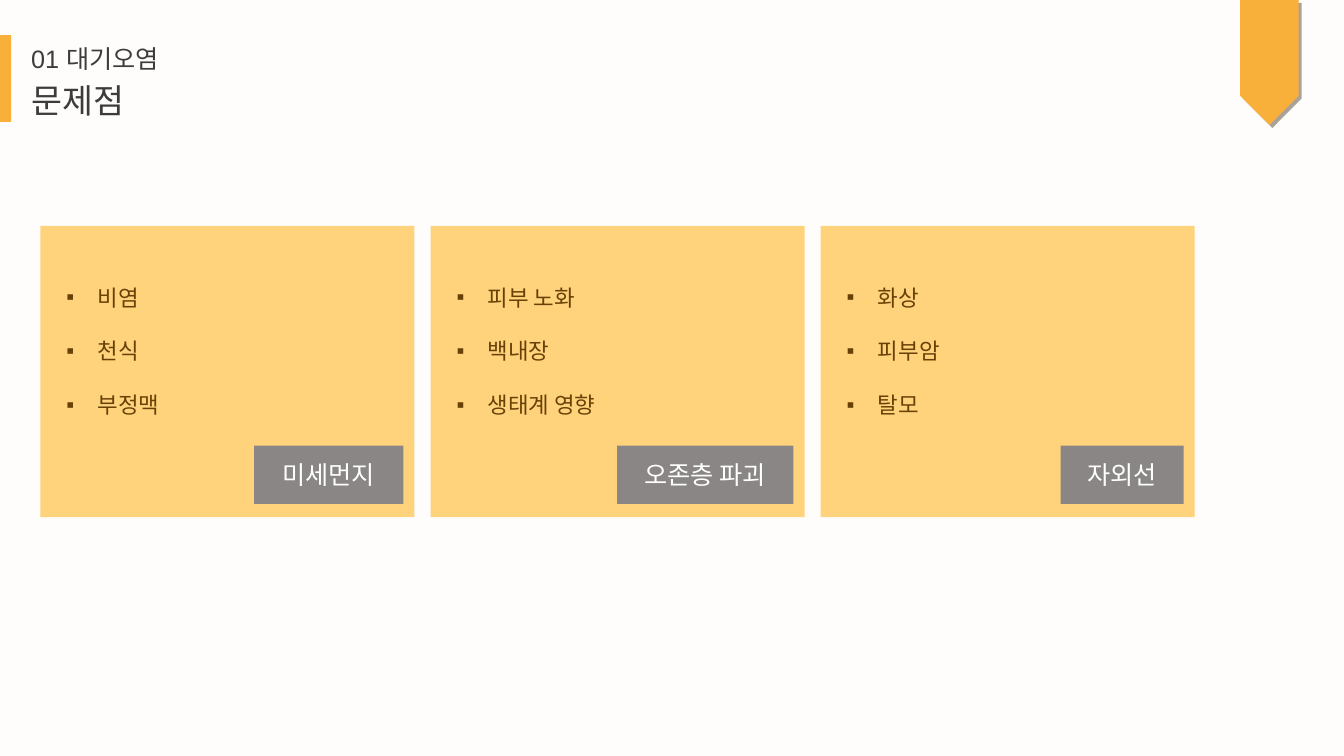
from lxml.etree import SubElement
from pptx import Presentation
from pptx.dml.color import RGBColor
from pptx.enum.shapes import MSO_SHAPE
from pptx.enum.text import MSO_ANCHOR, MSO_AUTO_SIZE, PP_ALIGN
from pptx.oxml.ns import qn
from pptx.util import Inches, Pt

AMBER, CARD, GRAY = "F8B03A", "FFD37C", "8A8686"
DARK, BROWN, WHITE = "3C3C3C", "684107", "FFFFFF"
KOREAN = "Noto Sans CJK KR"
CARDS = [
    ("미세먼지", 1.48, ["비염", "천식", "부정맥"]),
    ("오존층 파괴", 1.75, ["피부 노화", "백내장", "생태계 영향"]),
    ("자외선", 1.22, ["화상", "피부암", "탈모"]),
]


def color(value):
    return RGBColor.from_string(value)


class SlideBuilder:
    """Holds the style and the current slide."""

    def __init__(self, deck):
        self.page = deck.slides.add_slide(deck.slide_layouts[5])
        fill = self.page.background.fill
        fill.solid()
        fill.fore_color.rgb = color("FEFDFC")

    def font(self, para, size, ink, latin=KOREAN):
        para.font.size = Pt(size)
        para.font.color.rgb = color(ink)
        para.font.name = latin
        SubElement(para.font._element, qn("a:ea"), typeface=KOREAN)

    def shape(self, parent, kind, left, top, width, height, fill):
        shape = parent.add_shape(
            kind, Inches(left), Inches(top), Inches(width), Inches(height))
        shape.shadow.inherit = False
        shape.fill.solid()
        shape.fill.fore_color.rgb = color(fill)
        shape.line.fill.background()
        return shape

    def title(self, text, left, top, width, height):
        box = self.page.shapes.title
        box.left, box.top = Inches(left), Inches(top)
        box.width, box.height = Inches(width), Inches(height)
        frame = box.text_frame
        frame.text = text
        frame.word_wrap = False
        frame.auto_size = MSO_AUTO_SIZE.SHAPE_TO_FIT_TEXT
        frame.vertical_anchor = MSO_ANCHOR.TOP
        para = frame.paragraphs[0]
        para.alignment = PP_ALIGN.LEFT
        self.font(para, 24, DARK)

    def text(self, parent, left, top, width, height, wrap):
        box = parent.add_textbox(
            Inches(left), Inches(top), Inches(width), Inches(height))
        frame = box.text_frame
        frame.word_wrap = wrap
        frame.auto_size = MSO_AUTO_SIZE.SHAPE_TO_FIT_TEXT
        return frame

    def section(self, text, left, top, width, height):
        frame = self.text(self.page.shapes, left, top, width, height, False)
        frame.text = text
        self.font(frame.paragraphs[0], 18, DARK, "Arial")

    def bullets(self, parent, items, left, top, width, height):
        frame = self.text(parent, left, top, width, height, True)
        frame.text = "\n".join(items)
        for para in frame.paragraphs:
            para.line_spacing = 2.0
            props = para._p.get_or_add_pPr()
            props.set("marL", str(Inches(0.31)))
            props.set("indent", str(Inches(-0.31)))
            SubElement(props, qn("a:buFont"), typeface="Arial")
            SubElement(props, qn("a:buChar"), char="▪")
            self.font(para, 16, BROWN, "Arial")

    def card(self, left, label, label_width, items):
        group = self.page.shapes.add_group_shape().shapes
        self.shape(group, MSO_SHAPE.RECTANGLE, left, 2.24, 3.71, 2.89, CARD)
        tag = self.shape(group, MSO_SHAPE.RECTANGLE,
                         left + 3.6 - label_width, 4.42, label_width, 0.58, GRAY)
        frame = tag.text_frame
        frame.text = label
        frame.vertical_anchor = MSO_ANCHOR.MIDDLE
        para = frame.paragraphs[0]
        para.alignment = PP_ALIGN.CENTER
        self.font(para, 18, WHITE)
        self.bullets(group, items, left + 0.16, 2.5, 1.96, 1.72)

    def ribbon(self, left, top, width, height):
        ribbon = self.shape(self.page.shapes, MSO_SHAPE.PENTAGON,
                            left, top, width, height, AMBER)
        ribbon.rotation = 90
        effects = ribbon._element.spPr.find(qn("a:effectLst"))
        shadow = SubElement(effects, qn("a:outerShdw"), blurRad="0",
                            dist=str(Pt(3)), dir=str(45 * 60000),
                            algn="tl", rotWithShape="0")
        tint = SubElement(shadow, qn("a:srgbClr"), val="2A1A03")
        SubElement(tint, qn("a:alpha"), val="40000")


def main():
    deck = Presentation()
    deck.slide_width, deck.slide_height = Inches(13.33), Inches(7.5)
    builder = SlideBuilder(deck)
    builder.shape(builder.page.shapes, MSO_SHAPE.RECTANGLE,
                  0, 0.35, 0.11, 0.86, AMBER)
    builder.section("01 대기오염", 0.21, 0.38, 1.56, 0.4)
    builder.title("문제점", 0.21, 0.74, 1.21, 0.5)
    builder.ribbon(11.97, 0.33, 1.24, 0.58)
    for index, (label, label_width, items) in enumerate(CARDS):
        builder.card(0.4 + 3.87 * index, label, label_width, items)
    deck.save("out.pptx")


if __name__ == "__main__":
    main()
